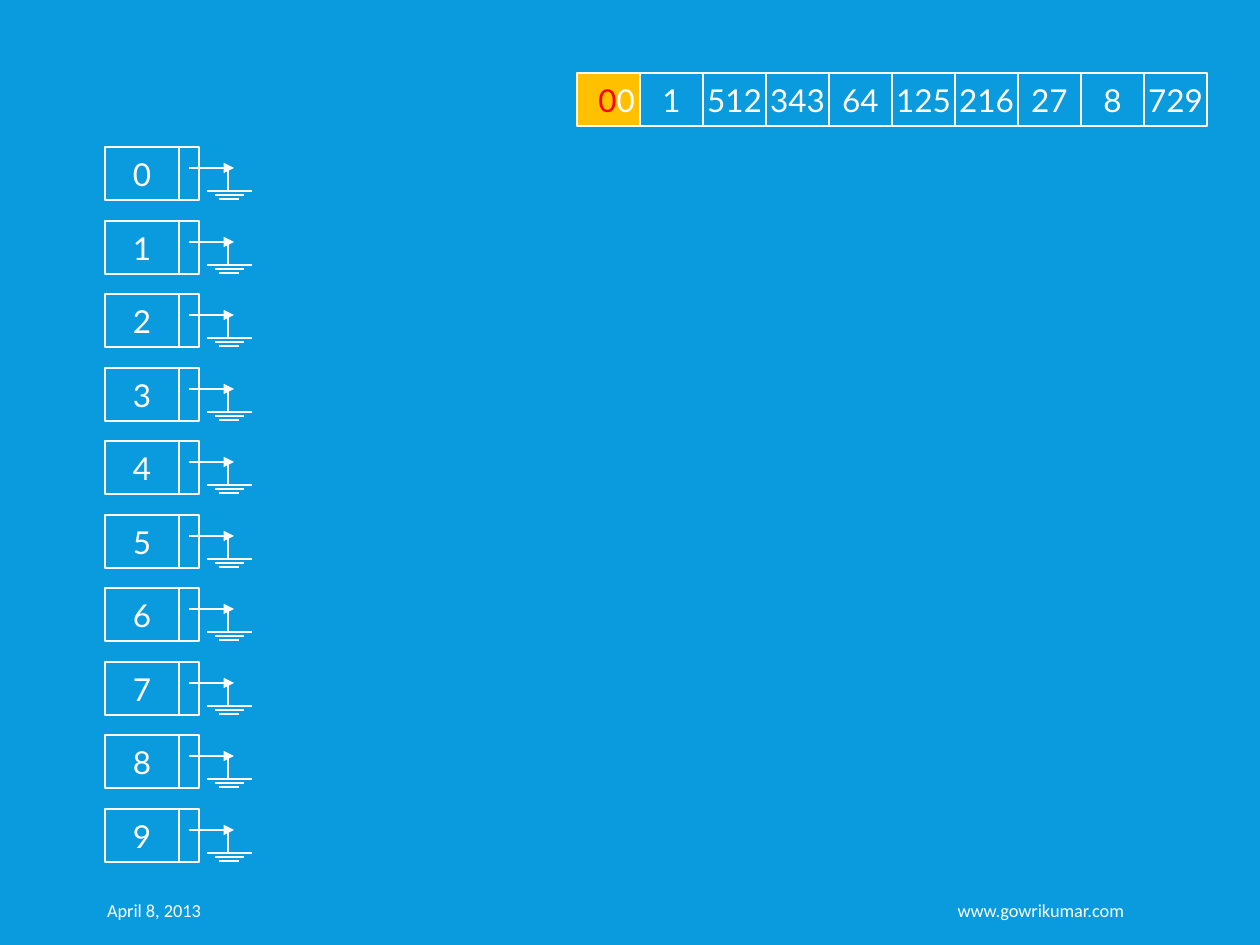
from typing import NamedTuple

from lxml import etree
from pptx import Presentation
from pptx.dml.color import RGBColor
from pptx.enum.shapes import MSO_CONNECTOR, MSO_SHAPE
from pptx.enum.text import MSO_ANCHOR, PP_ALIGN
from pptx.oxml.ns import qn
from pptx.util import Emu, Pt

RECT, STRAIGHT = MSO_SHAPE.RECTANGLE, MSO_CONNECTOR.STRAIGHT
MIDDLE = MSO_ANCHOR.MIDDLE
LEFT, CENTER, RIGHT = PP_ALIGN.LEFT, PP_ALIGN.CENTER, PP_ALIGN.RIGHT
PX_PER_INCH = 126
LINE_WIDTH = Pt(0.75)
COLORS = {"background": "099BDD", "white": "FFFFFF",
          "current": "FFC000", "digit": "FF0000"}


class Run(NamedTuple):
    text: str
    color: str = "white"


class Box(NamedTuple):
    x: int
    y: int
    w: int
    h: int
    runs: tuple[Run, ...] = ()
    fill: str | None = None
    margins: tuple[int, int] = (13, 13)


class Segment(NamedTuple):
    x1: int
    y1: int
    x2: int
    y2: int
    arrow: bool = False


class Footer(NamedTuple):
    box: Box
    align: PP_ALIGN


NUMBERS = ["1", "512", "343", "64", "125", "216", "27", "8", "729"]
ARRAY_X, ARRAY_Y, CELL_W, CELL_H = 577, 73, 63, 53
FIRST_CELL = Box(ARRAY_X, ARRAY_Y, CELL_W, CELL_H,
                 (Run("0", "digit"), Run("0")), "current", (16, 0))
CELLS = [FIRST_CELL] + [
    Box(ARRAY_X + i * CELL_W, ARRAY_Y, CELL_W, CELL_H, (Run(n),))
    for i, n in enumerate(NUMBERS, 1)]

BUCKET_COUNT = 10
BUCKET_X, BUCKET_Y, BUCKET_SPAN = 105, 147, 662
LABEL_W, LINK_W = 74, 20
# Offsets from the top left corner of a bucket
NULL_POINTER = [
    Segment(84, 21, 129, 21, arrow=True),
    Segment(102, 44, 147, 44),
    Segment(114, 52, 134, 52),
    Segment(110, 48, 139, 48),
    Segment(123, 44, 123, 21),
]

FOOTERS = [
    Footer(Box(94, 885, 358, 50, (Run("April 8, 2013"),)), LEFT),
    Footer(Box(577, 885, 560, 50, (Run("www.gowrikumar.com"),)), RIGHT),
]


def px(n: int) -> Emu:
    return Emu(round(n * 914400 / PX_PER_INCH))


def rgb(name: str) -> RGBColor:
    return RGBColor.from_string(COLORS[name])


def write(sp, box: Box, align: PP_ALIGN, font: str, size: float, wrap: bool) -> None:
    tf = sp.text_frame
    left, right = box.margins
    frame_format = {"word_wrap": wrap, "vertical_anchor": MIDDLE,
                    "margin_left": px(left), "margin_right": px(right)}
    for name, value in frame_format.items():
        setattr(tf, name, value)
    p = tf.paragraphs[0]
    p.alignment = align
    for run in box.runs:
        r = p.add_run()
        r.text = run.text
        for name, value in {"name": font, "size": Pt(size)}.items():
            setattr(r.font, name, value)
        r.font.color.rgb = rgb(run.color)


def draw_box(shapes, box: Box) -> None:
    sp = shapes.add_shape(RECT, px(box.x), px(box.y), px(box.w), px(box.h))
    sp.shadow.inherit = False
    if box.fill:
        sp.fill.solid()
        sp.fill.fore_color.rgb = rgb(box.fill)
    else:
        sp.fill.background()
    sp.line.color.rgb = rgb("white")
    sp.line.width = LINE_WIDTH
    if box.runs:
        write(sp, box, CENTER, "Lato", 18, wrap=False)


def draw_segment(shapes, seg: Segment, x: int, y: int) -> None:
    """Draw a segment whose coordinates are offsets from (x, y)."""
    line = shapes.add_connector(STRAIGHT, px(x + seg.x1), px(y + seg.y1),
                                px(x + seg.x2), px(y + seg.y2))
    line.line.color.rgb = rgb("white")
    line.line.width = LINE_WIDTH
    if seg.arrow:
        ln = line.line._get_or_add_ln()
        etree.SubElement(ln, qn("a:tailEnd"), type="triangle")
    etree.SubElement(line._element.spPr, qn("a:effectLst"))


def draw_bucket(slide, index: int) -> None:
    """Draw a numbered bucket with its link grounded, as an empty list."""
    shapes = slide.shapes.add_group_shape().shapes
    x = BUCKET_X
    y = BUCKET_Y + round(index * BUCKET_SPAN / (BUCKET_COUNT - 1))
    draw_box(shapes, Box(x, y, LABEL_W, CELL_H, (Run(str(index)),)))
    draw_box(shapes, Box(x + LABEL_W, y, LINK_W, CELL_H))
    for seg in NULL_POINTER:
        draw_segment(shapes, seg, x, y)


def draw_footer(slide, footer: Footer) -> None:
    box = footer.box
    sp = slide.shapes.add_textbox(px(box.x), px(box.y), px(box.w), px(box.h))
    write(sp, box, footer.align, "Calibri", 10.5, wrap=True)


def main() -> None:
    prs = Presentation()
    prs.slide_width, prs.slide_height = px(1260), px(945)
    slide = prs.slides.add_slide(prs.slide_layouts[6])
    slide.background.fill.solid()
    slide.background.fill.fore_color.rgb = rgb("background")
    for footer in FOOTERS:
        draw_footer(slide, footer)
    for cell in CELLS:
        draw_box(slide.shapes, cell)
    for index in range(BUCKET_COUNT):
        draw_bucket(slide, index)
    prs.save("out.pptx")


if __name__ == "__main__":
    main()
